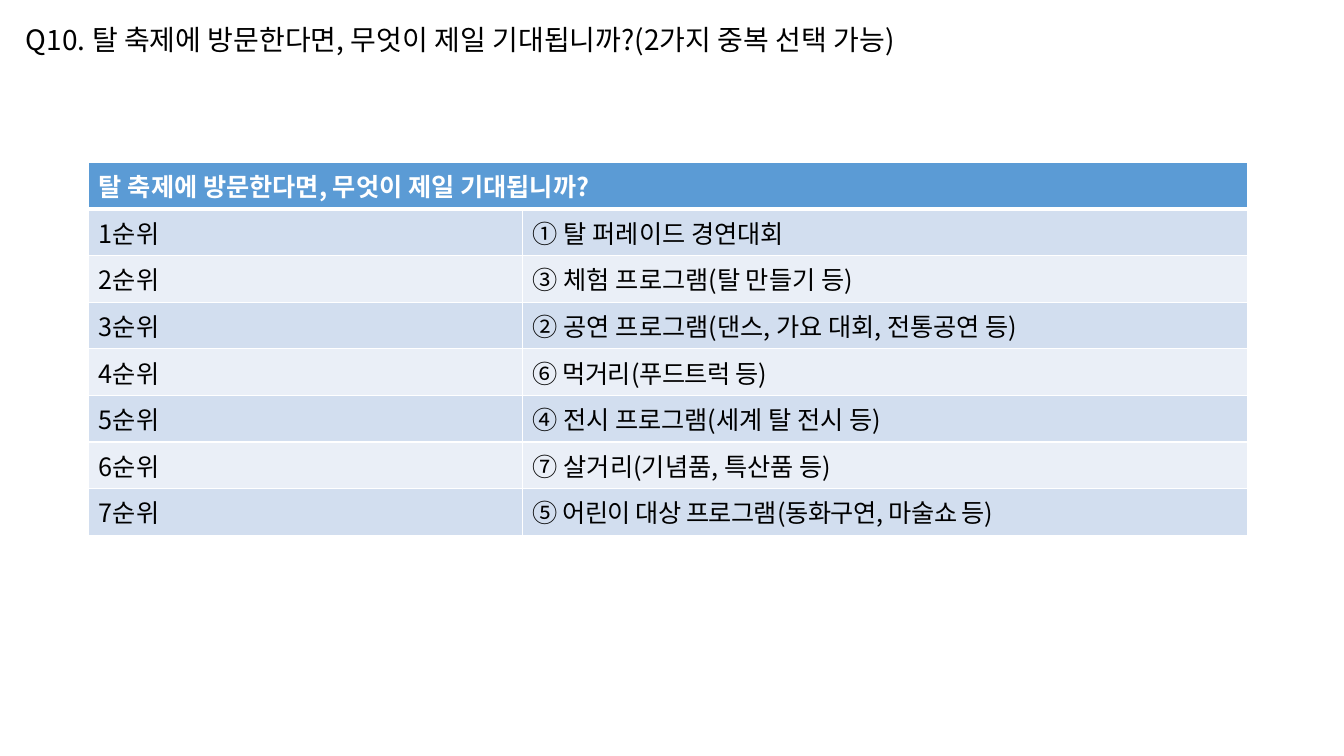
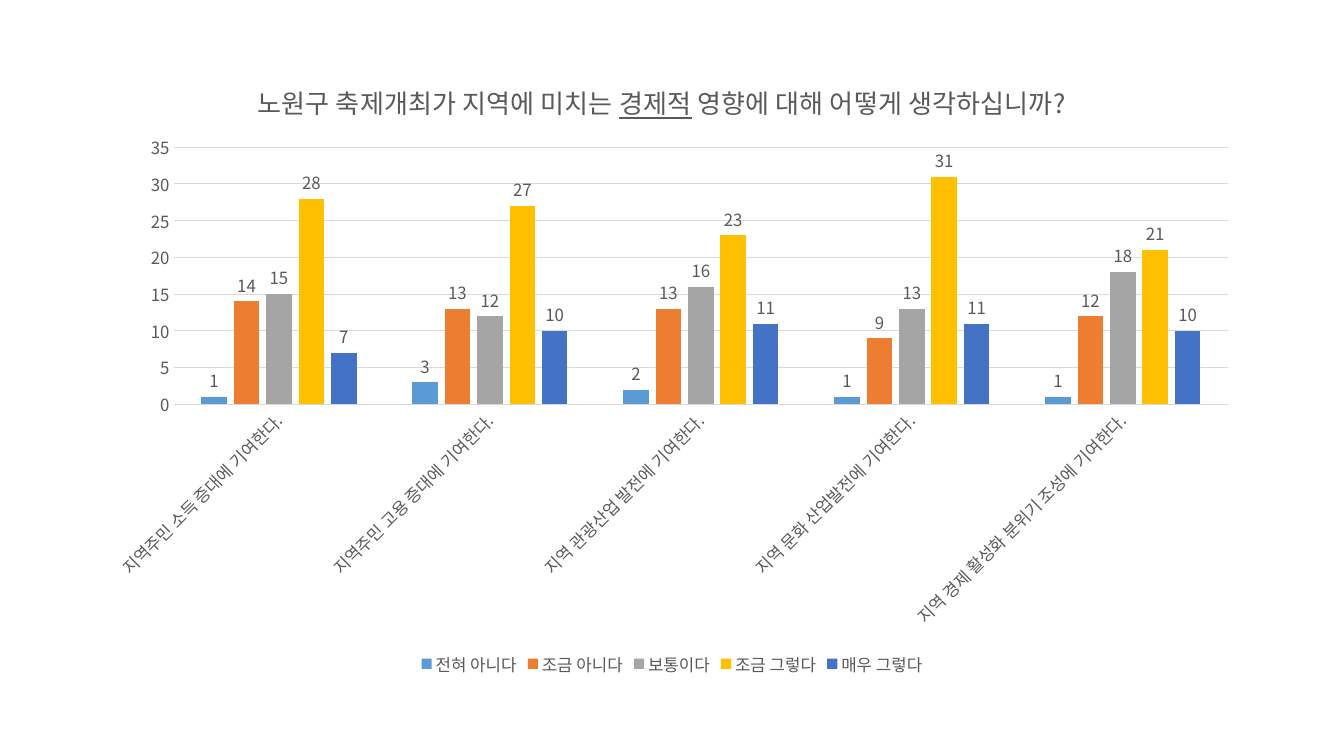
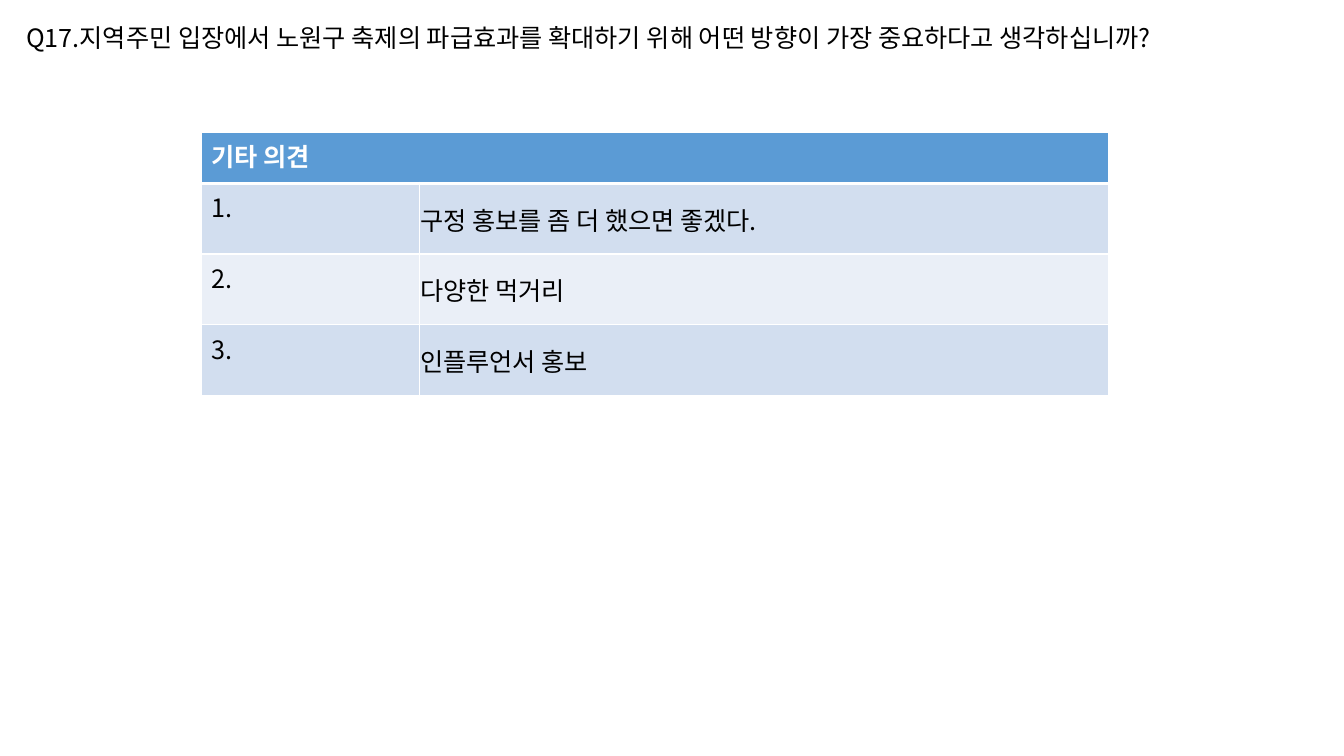
from lxml import etree
from pptx import Presentation
from pptx.chart.data import CategoryChartData
from pptx.dml.color import RGBColor
from pptx.enum.chart import XL_CHART_TYPE, XL_LABEL_POSITION, XL_LEGEND_POSITION, XL_TICK_MARK
from pptx.enum.text import MSO_ANCHOR, MSO_AUTO_SIZE
from pptx.oxml import parse_xml
from pptx.oxml.ns import nsdecls, qn
from pptx.util import Pt

COLUMN_CLUSTERED = XL_CHART_TYPE.COLUMN_CLUSTERED
OUTSIDE_END = XL_LABEL_POSITION.OUTSIDE_END
LEGEND_BOTTOM = XL_LEGEND_POSITION.BOTTOM
NO_TICK = XL_TICK_MARK.NONE
TOP, MIDDLE = MSO_ANCHOR.TOP, MSO_ANCHOR.MIDDLE
FIT_SHAPE = MSO_AUTO_SIZE.SHAPE_TO_FIT_TEXT

FONT = "Noto Sans CJK KR"
BLACK = RGBColor(0x00, 0x00, 0x00)
WHITE = RGBColor(0xFF, 0xFF, 0xFF)
HEADER_BLUE = RGBColor(0x5B, 0x9B, 0xD5)
BAND_FILLS = (RGBColor(0xD2, 0xDE, 0xEF), RGBColor(0xEA, 0xEF, 0xF7))
CHART_TEXT = RGBColor(0x59, 0x59, 0x59)
CHART_LINE = RGBColor(0xD9, 0xD9, 0xD9)
SERIES_COLORS = (
    HEADER_BLUE,
    RGBColor(0xED, 0x7D, 0x31),
    RGBColor(0xA5, 0xA5, 0xA5),
    RGBColor(0xFF, 0xC0, 0x00),
    RGBColor(0x44, 0x72, 0xC4),
)

TIGHT = -40
EXPECTATION_QUESTION = "Q10. 탈 축제에 방문한다면, 무엇이 제일 기대됩니까?(2가지 중복 선택 가능)"
EXPECTATION_HEADER = "탈 축제에 방문한다면, 무엇이 제일 기대됩니까?"
EXPECTATIONS = [
    [("① 탈 퍼레이드 경연대회", 0)],
    [("③ 체험 프로그램(탈 만들기 등)", 0)],
    [("② 공연 프로그램(댄스, 가요 대회, 전통공연 등)", 0)],
    [("⑥ 먹거리(푸드트럭 등)", TIGHT)],
    [("④ ", TIGHT), ("전시 프로그램(세계 탈 전시 등)", 0)],
    [("⑦ 살거리(기념품, 특산품 등)", 0)],
    [("⑤ 어린이 대상 프로그램(동화구연, 마술쇼 등)", TIGHT)],
]

IMPACT_TITLE = [
    ("노원구 축제개최가 지역에 미치는 ", False),
    ("경제적", True),
    (" 영향에 대해 어떻게 생각하십니까?", False),
]
IMPACT_CATEGORIES = [
    "지역주민 소득 증대에 기여한다.",
    "지역주민 고용 증대에 기여한다.",
    "지역 관광산업 발전에 기여한다.",
    "지역 문화 산업발전에 기여한다.",
    "지역 경제 활성화 분위기 조성에 기여한다.",
]
IMPACT_SERIES = {
    "전혀 아니다": (1, 3, 2, 1, 1),
    "조금 아니다": (14, 13, 13, 9, 12),
    "보통이다": (15, 12, 16, 13, 18),
    "조금 그렇다": (28, 27, 23, 31, 21),
    "매우 그렇다": (7, 10, 11, 11, 10),
}

DIRECTION_QUESTION = "Q17.지역주민 입장에서 노원구 축제의 파급효과를 확대하기 위해 어떤 방향이 가장 중요하다고 생각하십니까?"
OPINION_HEADER = "기타 의견"
OPINIONS = [
    [("구정 홍보를 좀 더 했으면 좋겠다.", 0)],
    [("다양한 먹거리", 0)],
    [("인플루언서 홍보", 0)],
]


def style_font(font, size, color, bold=False):
    font.size = Pt(size)
    font.bold = bold
    font.color.rgb = color
    font.name = FONT
    east_asian = etree.Element(qn("a:ea"), typeface=FONT)
    font._rPr.find(qn("a:latin")).addnext(east_asian)


def add_run(paragraph, text, size=18, color=BLACK, bold=False, spacing=0, underline=False):
    run = paragraph.add_run()
    run.text = text
    style_font(run.font, size, color, bold)
    if underline:
        run.font.underline = True
    if spacing:
        run.font._rPr.set("spc", str(spacing))


def add_question(slide, text, width, height, size):
    shape = slide.shapes.add_textbox(Pt(11.5), Pt(12.2), Pt(width), Pt(height))
    frame = shape.text_frame
    frame.word_wrap = False
    frame.auto_size = FIT_SHAPE
    add_run(frame.paragraphs[0], text, size=size)


def set_borders(cell, bottom=1, top=1):
    properties = cell._tc.get_or_add_tcPr()
    widths = {"lnL": 1, "lnR": 1, "lnT": top, "lnB": bottom}
    for position, (side, width) in enumerate(widths.items()):
        line = parse_xml(
            f'<a:{side} {nsdecls("a")} w="{Pt(width)}"><a:solidFill>'
            f'<a:srgbClr val="{WHITE}"/></a:solidFill></a:{side}>'
        )
        properties.insert(position, line)


def fill_cell(cell, segments, fill, color=BLACK, bold=False, bottom=1, top=1):
    cell.fill.solid()
    cell.fill.fore_color.rgb = fill
    set_borders(cell, bottom, top)
    for text, spacing in segments:
        add_run(cell.text_frame.paragraphs[0], text, color=color, bold=bold, spacing=spacing)


def add_ranked_table(slide, header, answers, label, left, top, widths,
                     header_height, row_height, flush_answers=False):
    height = header_height + row_height * len(answers)
    frame = slide.shapes.add_table(
        len(answers) + 1, 2, Pt(left), Pt(top), Pt(sum(widths)), Pt(height))
    table = frame.table
    for column, width in zip(table.columns, widths):
        column.width = Pt(width)
    for index, row in enumerate(table.rows):
        row.height = Pt(row_height if index else header_height)

    table.cell(0, 0).merge(table.cell(0, 1))
    for column, segments in enumerate(([(header, 0)], [])):
        fill_cell(table.cell(0, column), segments, HEADER_BLUE, WHITE, bold=True, bottom=3)
    for number, answer in enumerate(answers, 1):
        fill = BAND_FILLS[(number - 1) % 2]
        line_above = 3 if number == 1 else 1
        rank_cell, answer_cell = table.cell(number, 0), table.cell(number, 1)
        fill_cell(rank_cell, [(label.format(number), 0)], fill, top=line_above)
        fill_cell(answer_cell, answer, fill, top=line_above)
        rank_cell.vertical_anchor = TOP
        if flush_answers:
            answer_cell.vertical_anchor = MIDDLE
            answer_cell.margin_left = answer_cell.margin_right = Pt(0.7)
            answer_cell.margin_top, answer_cell.margin_bottom = Pt(0.7), Pt(0)


def set_layout(parent, x, y, width=None, height=None):
    values = {"xMode": "edge", "yMode": "edge", "x": x, "y": y}
    target = ""
    if width:
        target = '<c:layoutTarget val="inner"/>'
        values.update(w=width, h=height)
    items = "".join(f'<c:{name} val="{value}"/>' for name, value in values.items())
    layout = parse_xml(
        f'<c:layout {nsdecls("c")}><c:manualLayout>{target}{items}</c:manualLayout></c:layout>')
    for old_layout in parent.findall(qn("c:layout")):
        parent.remove(old_layout)
    text = parent.find(qn("c:tx"))
    if text is None:
        parent.insert(0, layout)
    else:
        text.addnext(layout)


def add_impact_chart(slide):
    data = CategoryChartData(number_format="General")
    data.categories = IMPACT_CATEGORIES
    for name, values in IMPACT_SERIES.items():
        data.add_series(name, values)
    chart = slide.shapes.add_chart(
        COLUMN_CLUSTERED, Pt(66), Pt(38), Pt(828), Pt(448), data).chart
    style_font(chart.font, 10, BLACK)

    chart.has_title = True
    title = chart.chart_title
    for text, underline in IMPACT_TITLE:
        add_run(title.text_frame.paragraphs[0], text, size=18.6, color=CHART_TEXT,
                underline=underline)
    title.include_in_layout = False
    set_layout(title._element, 0.14, 0.04)
    set_layout(chart._chartSpace.chart.plotArea, 0.07, 0.15, 0.91, 0.41)

    chart.has_legend = True
    chart.legend.position = LEGEND_BOTTOM
    chart.legend.include_in_layout = False
    style_font(chart.legend.font, 12, CHART_TEXT)

    category_axis, value_axis = chart.category_axis, chart.value_axis
    for axis in (category_axis, value_axis):
        axis.major_tick_mark = axis.minor_tick_mark = NO_TICK
        style_font(axis.tick_labels.font, 12, CHART_TEXT)
    category_axis.format.line.color.rgb = CHART_LINE
    category_axis.format.line.width = Pt(0.75)
    label_body = category_axis._element.find(qn("c:txPr")).find(qn("a:bodyPr"))
    label_body.set("rot", str(-45 * 60000))
    label_body.set("vert", "horz")
    value_axis.minimum_scale, value_axis.maximum_scale = 0, 35
    value_axis.major_unit = 5
    value_axis.format.line.fill.background()
    grid_line = value_axis.major_gridlines.format.line
    grid_line.color.rgb = CHART_LINE
    grid_line.width = Pt(0.75)

    plot = chart.plots[0]
    plot.vary_by_categories = False
    plot.gap_width, plot.overlap = 219, -27
    for series, color in zip(plot.series, SERIES_COLORS):
        series.format.fill.solid()
        series.format.fill.fore_color.rgb = color
        labels = series.data_labels
        labels.show_value = True
        labels.position = OUTSIDE_END
        style_font(labels.font, 12, CHART_TEXT)


def main():
    presentation = Presentation()
    presentation.slide_width, presentation.slide_height = Pt(960), Pt(540)
    blank = presentation.slide_layouts[6]
    expectation_slide, impact_slide, direction_slide = (
        presentation.slides.add_slide(blank) for _ in range(3))

    add_ranked_table(expectation_slide, EXPECTATION_HEADER, EXPECTATIONS, "{}순위",
                     left=63.5, top=116, widths=(310, 518),
                     header_height=33.2, row_height=33.2)
    add_question(expectation_slide, EXPECTATION_QUESTION, 703, 31.5, size=20)

    add_impact_chart(impact_slide)

    add_question(direction_slide, DIRECTION_QUESTION, 913, 29, size=18)
    add_ranked_table(direction_slide, OPINION_HEADER, OPINIONS, "{}.",
                     left=144, top=94.5, widths=(155.5, 492.5),
                     header_height=36.5, row_height=50.5, flush_answers=True)
    presentation.save("out.pptx")


if __name__ == "__main__":
    main()
